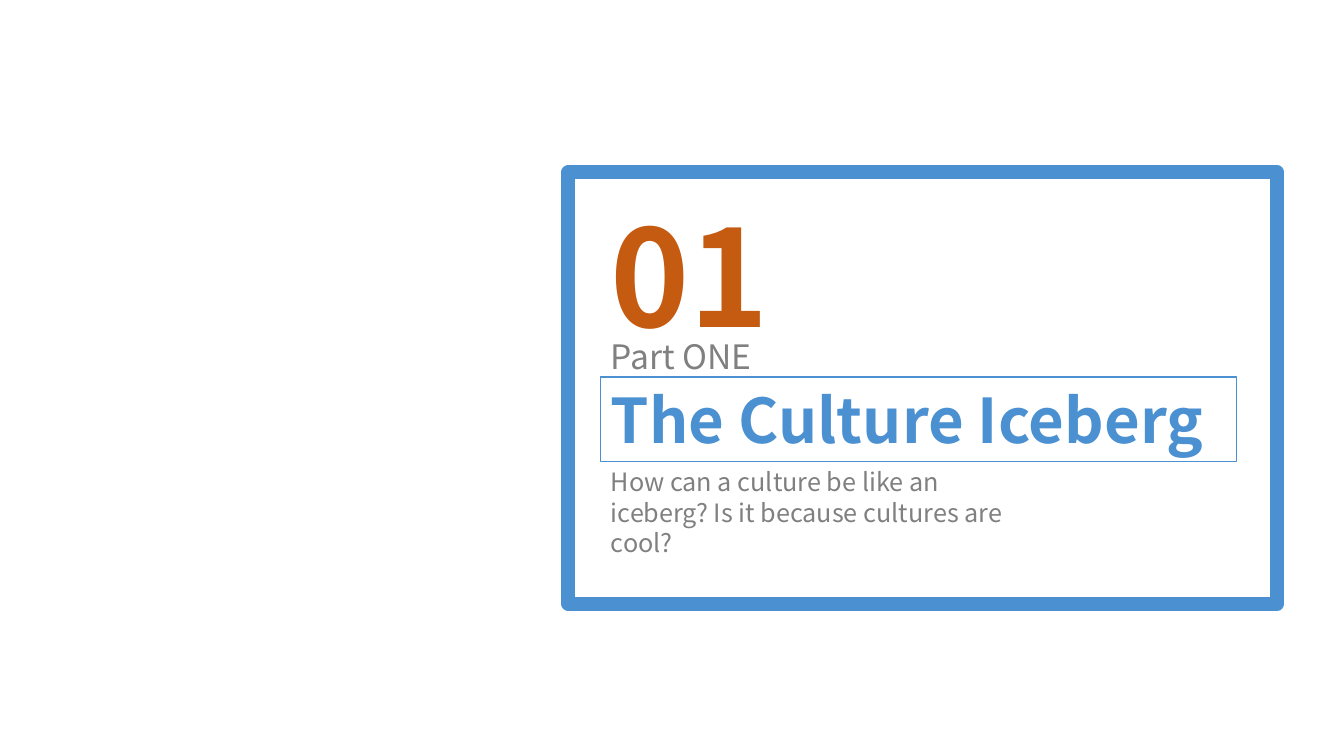
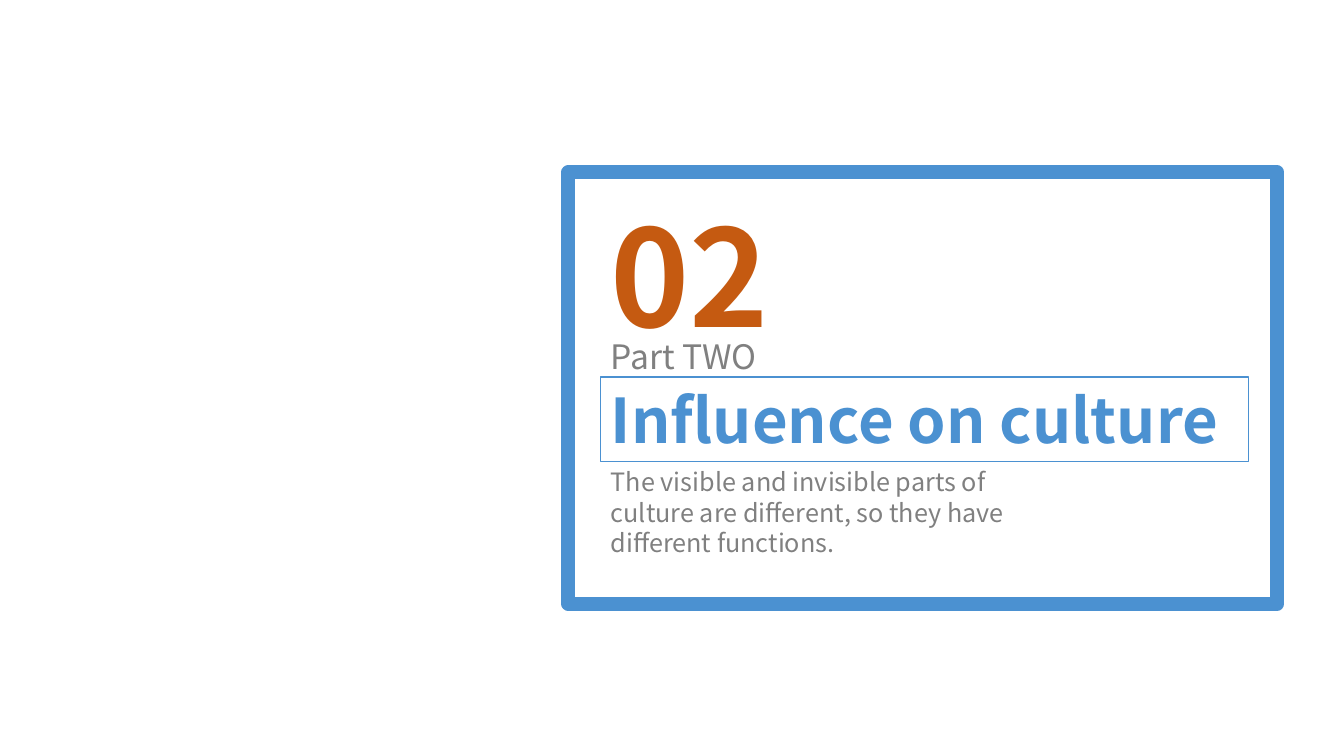
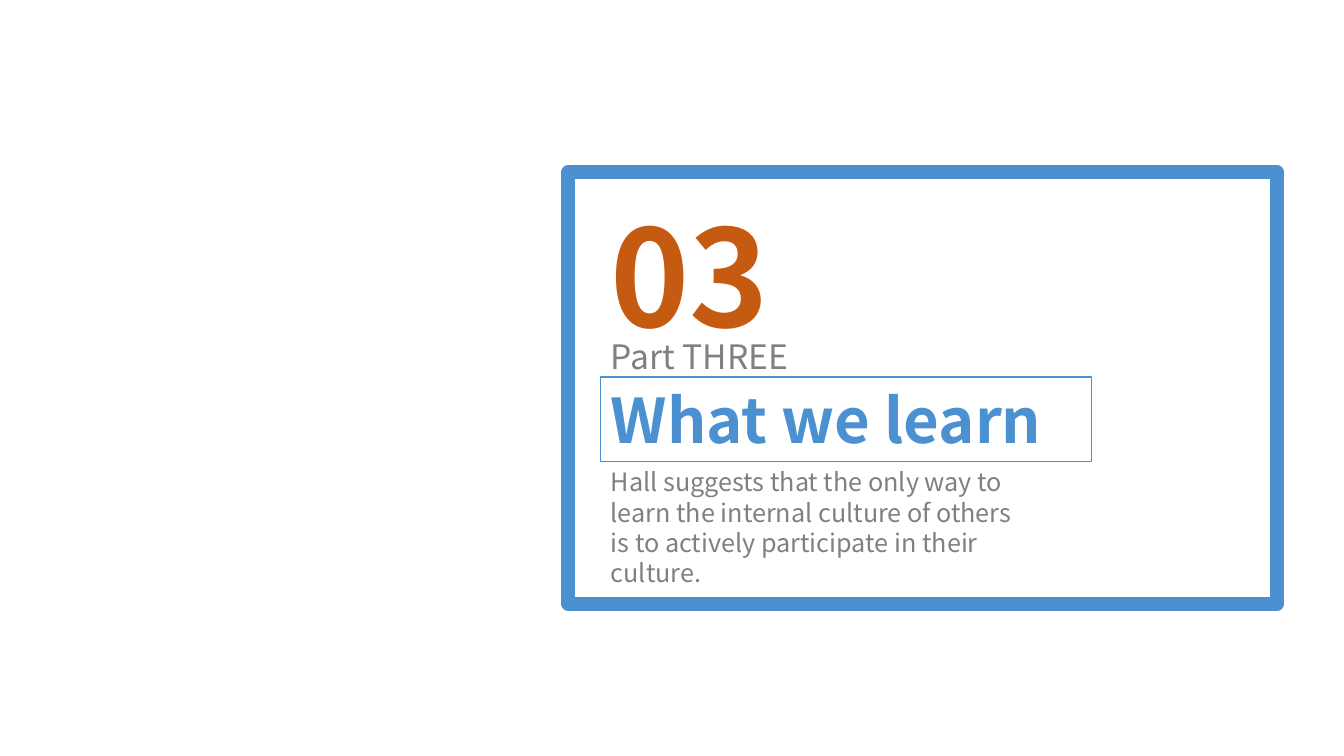
from dataclasses import dataclass

from pptx import Presentation
from pptx import util as u
from pptx.dml import color
from pptx.enum import shapes, text

FONT = "Noto Sans CJK SC"
HUES = {"blue": "4B91D1", "rust": "C55A11", "grey": "808080"}
LEFT = 429.12


@dataclass
class Part:
    num: str
    label: str
    title: str
    note: str
    wide: float
    span: float


@dataclass
class Style:
    size: float
    hue: str
    bold: bool = False


NUM = Style(96, "rust", True)
LABEL = Style(24, "grey")
TITLE = Style(44, "blue", True)
NOTE = Style(18, "grey")

PARTS = [
    Part("01", "Part ONE", "The Culture Iceberg",
         "How can a culture be like an iceberg? Is it because cultures are cool?",
         454.3, 312.5),
    Part("02", "Part TWO", "Influence on culture",
         "The visible and invisible parts of culture are different, "
         "so they have different functions.",
         463, 302.4),
    Part("03", "Part THREE", "What we learn",
         "Hall suggests that the only way to learn the internal culture "
         "of others is to actively participate in their culture.",
         350.6, 302.4),
]


def tint(hue: str) -> color.RGBColor:
    return color.RGBColor.from_string(HUES[hue])


def place(shape, left: float, top: float, wide: float, high: float) -> None:
    shape.left, shape.top = u.Pt(left), u.Pt(top)
    shape.width, shape.height = u.Pt(wide), u.Pt(high)


def write(shape, words: str, style: Style) -> None:
    frame = shape.text_frame
    frame.text = words
    frame.word_wrap = True
    frame.auto_size = text.MSO_AUTO_SIZE.NONE
    frame.vertical_anchor = text.MSO_ANCHOR.TOP
    for para in frame.paragraphs:
        para.alignment = text.PP_ALIGN.LEFT
        para.space_before = u.Pt(0)
        for run in para.runs:
            run.font.name = FONT
            run.font.size = u.Pt(style.size)
            run.font.bold = style.bold
            run.font.color.rgb = tint(style.hue)


def edge(shape, width: float) -> None:
    """Outline a shape in blue and leave it unfilled."""
    shape.fill.background()
    shape.line.color.rgb = tint("blue")
    shape.line.width = u.Pt(width)


def label(slide, words: str, top: float, wide: float, high: float,
          style: Style) -> None:
    box = slide.shapes.add_textbox(0, 0, 0, 0)
    place(box, LEFT, top, wide, high)
    write(box, words, style)


def build(deck, part: Part) -> None:
    slide = deck.slides.add_slide(deck.slide_layouts[0])
    title, note = slide.placeholders
    place(title, LEFT, 269.3, part.wide, 60.5)
    write(title, part.title, TITLE)
    edge(title, 0.75)
    place(note, LEFT, 329.8, part.span, 72.7)
    write(note, part.note, NOTE)
    label(slide, part.num, 134.6, 134, 123.8, NUM)
    label(slide, part.label, 236.2, 144, 36, LABEL)
    card = slide.shapes.add_shape(shapes.MSO_SHAPE.RECTANGLE, 0, 0, 0, 0)
    place(card, 406.1, 123.1, 506.2, 308.2)
    card.shadow.inherit = False
    edge(card, 10)


def main() -> None:
    deck = Presentation()
    deck.slide_width, deck.slide_height = u.Pt(960), u.Pt(540)
    for part in PARTS:
        build(deck, part)
    deck.save("out.pptx")


if __name__ == "__main__":
    main()
